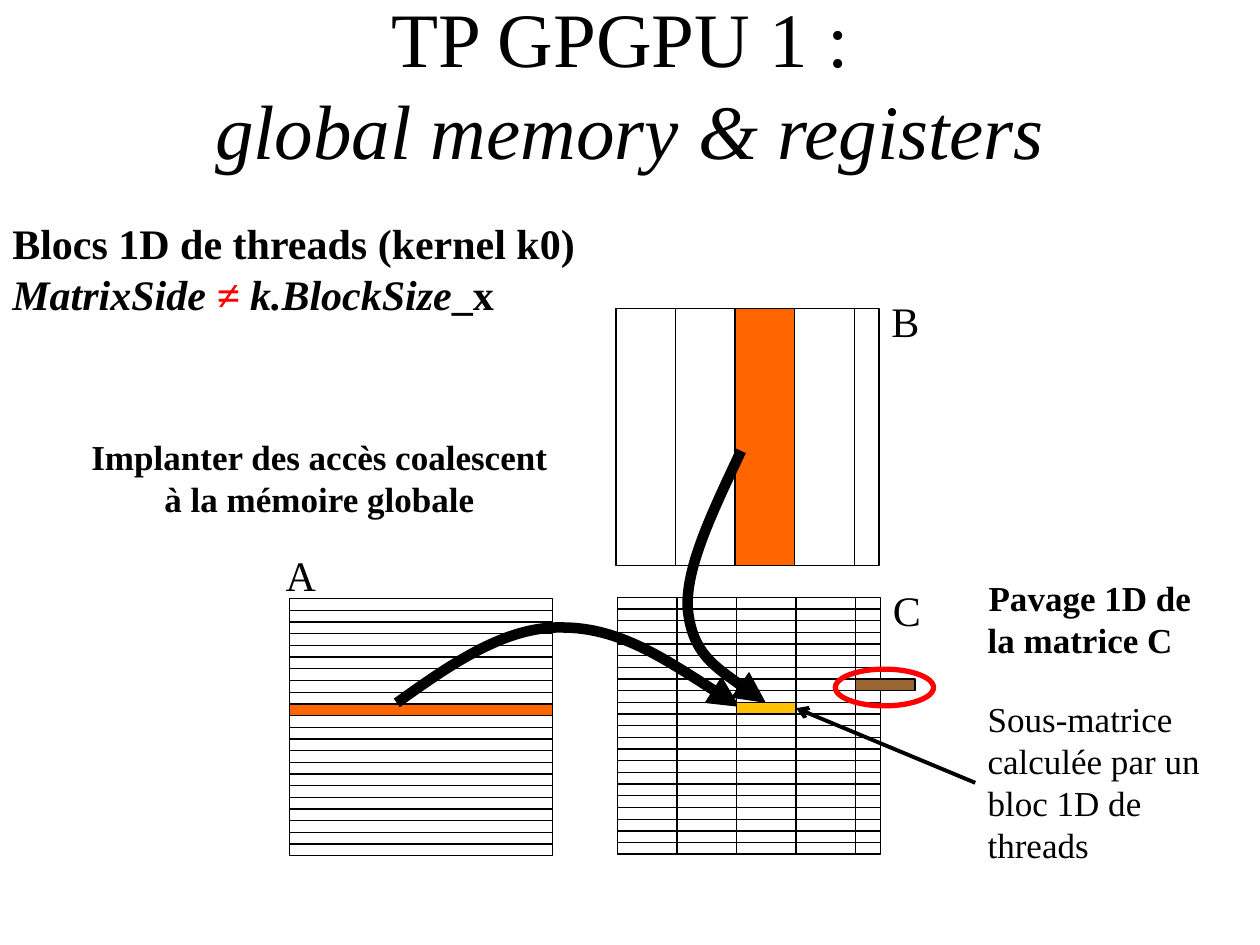
"""Build the matrix tiling slide: matrices A, B and C with their tiles."""
from lxml import etree
from pptx import Presentation
from pptx import util as u
from pptx.dml.color import RGBColor
from pptx.enum import shapes, text
from pptx.oxml import ns


def paint(shape, fill, line, width):
    """Set fill, outline and no shadow; fill is False for connectors."""
    if fill:
        shape.fill.solid()
        shape.fill.fore_color.rgb = RGBColor.from_string(fill)
    elif fill is None:
        shape.fill.background()
    shape.line.color.rgb = RGBColor.from_string(line)
    shape.line.width = u.Pt(width)
    etree.SubElement(shape._element.spPr, ns.qn("a:effectLst"))


def write(place, paragraphs, size, wrap=False, anchor=text.MSO_ANCHOR.TOP):
    """Add a text box from (alignment, spans) paragraphs."""
    box = page.shapes.add_textbox(*map(u.Cm, place))
    frame = box.text_frame
    frame.word_wrap, frame.vertical_anchor = wrap, anchor
    for index, (alignment, spans) in enumerate(paragraphs):
        para = frame.paragraphs[0] if index == 0 else frame.add_paragraph()
        para.alignment = alignment
        for words, formats in spans:
            if words == "\n":
                para.add_line_break()
                continue
            span = para.add_run()
            span.text = words
            span.font.color.rgb = RGBColor.from_string(formats.get("color", BLACK))
            values = {"name": "Times New Roman", "size": u.Pt(size),
                      "bold": formats.get("bold", False),
                      "italic": formats.get("italic", False)}
            for name, value in values.items():
                setattr(span.font, name, value)
    return box


BLACK, WHITE, RED, ORANGE = "000000", "FFFFFF", "FF0000", "FF6600"
LEFT, CENTER = text.PP_ALIGN.LEFT, text.PP_ALIGN.CENTER
BOLD = {"bold": True}
BOLD_ITALIC = {"bold": True, "italic": True}
RECTANGLE, OVAL = shapes.MSO_SHAPE.RECTANGLE, shapes.MSO_SHAPE.OVAL

deck = Presentation()
deck.slide_width, deck.slide_height = u.Cm(25.4), u.Cm(19.05)
page = deck.slides.add_slide(deck.slide_layouts[6])

side, rows, column = 5.3, 22, 1.2
height = 5.18
row = height / rows
row_steps = [step * row for step in range(1, rows)]
column_steps = [step * column for step in range(1, 5)]
c_left, c_top = 12.45, 12.04

# left, top, fill, row lines, column lines, highlighted band (x, y, width, height)
matrices = [
    (5.84, 12.07, None, row_steps, [], (0, 9 * row, side, row)),
    (12.42, 6.22, None, [], column_steps, (2 * column, 0, column, height)),
    (c_left, c_top, WHITE, row_steps, column_steps, None),
]
matrices = matrices
for left, top, fill, across, down, band in matrices:
    if band:
        x, y, band_width, band_height = band
        highlight = page.shapes.add_shape(
            RECTANGLE, u.Cm(left + x), u.Cm(top + y), u.Cm(band_width), u.Cm(band_height))
        paint(highlight, ORANGE, BLACK, 0.75)
    matrix = page.shapes.add_shape(RECTANGLE, *map(u.Cm, (left, top, side, height)))
    paint(matrix, fill, BLACK, 0.75)
    rules = [(left, top + y, left + side, top + y) for y in across]
    rules += [(left + x, top, left + x, top + height) for x in down]
    for ends in rules:
        rule = page.shapes.add_connector(shapes.MSO_CONNECTOR.STRAIGHT, *map(u.Cm, ends))
        paint(rule, False, BLACK, 0.75)

write((1.9, 0.08, 21.6, 3.18), [
    (CENTER, [("TP GPGPU 1 : ", {}), ("\n", {}),
              ("global memory & registers", {"italic": True})])],
    44, True, text.MSO_ANCHOR.MIDDLE)
write((0, 4.27, 11.96, 2.31), [
    (LEFT, [("Blocs 1D de threads (kernel k0)", BOLD)]),
    (LEFT, [("MatrixSide ", BOLD_ITALIC), ("≠ ", {**BOLD_ITALIC, "color": RED}),
            ("k.BlockSize", BOLD_ITALIC), ("_x", BOLD)])], 24)
for letter, x, y in (("B", 17.7, 5.84), ("A", 5.51, 10.95), ("C", 17.73, 11.66)):
    write((x, y, 1.1, 1.27), [(CENTER, [(letter, {})])], 24)
caption = write((19.66, 13.94, 5.18, 3.68), [
    (LEFT, [("Sous-matrice calculée par un bloc 1D de threads", {})])], 20, True)

curves = [
    [(15.44, 14.17), (14.71, 13.67), (13.97, 13.18), (13.87, 12.32),
     (13.79, 11.48), (14.38, 10.29), (14.94, 9.09)],
    [(14.91, 14.25), (13.69, 13.46), (12.47, 12.65), (11.33, 12.65),
     (10.19, 12.62), (9.09, 13.39), (8, 14.17)],
]
for start, *controls in curves:
    builder = page.shapes.build_freeform(*map(u.Cm, start))
    builder.add_line_segments([tuple(map(u.Cm, point)) for point in controls], close=False)
    curve = builder.convert_to_shape()
    outline = curve._element.spPr.find(".//" + ns.qn("a:path"))
    segments = outline.findall(ns.qn("a:lnTo"))
    for first in range(0, len(segments), 3):
        bezier = etree.SubElement(outline, ns.qn("a:cubicBezTo"))
        for segment in segments[first:first + 3]:
            bezier.append(segment[0])
            outline.remove(segment)
    paint(curve, None, BLACK, 6)
    etree.SubElement(curve.line._get_or_add_ln(), ns.qn("a:headEnd"), type="triangle")

tile = page.shapes.add_shape(
    RECTANGLE, u.Cm(c_left + 2 * column), u.Cm(c_top + 9 * row), u.Cm(column), u.Cm(row))
paint(tile, "FFC000", BLACK, 0.75)
pointer = page.shapes.add_connector(
    shapes.MSO_CONNECTOR.STRAIGHT, *map(u.Cm, (19.66, 15.8, 16.05, 14.3)))
pointer.begin_connect(caption, 1)
pointer.end_connect(tile, 3)
paint(pointer, False, BLACK, 2.25)
etree.SubElement(pointer.line._get_or_add_ln(), ns.qn("a:tailEnd"), type="arrow")

write((19.66, 11.49, 4.8, 1.96), [
    (CENTER, [("Pavage 1D de ", BOLD)]), (LEFT, [("la matrice C", BOLD)])], 20)
overflow = page.shapes.add_shape(
    RECTANGLE, u.Cm(c_left + 4 * column), u.Cm(c_top + 7 * row), u.Cm(column), u.Cm(row))
paint(overflow, "996633", BLACK, 0.75)
ring = page.shapes.add_shape(OVAL, *map(u.Cm, (16.84, 13.49, 1.98, 0.74)))
paint(ring, None, RED, 3)
write((1.45, 8.66, 9.98, 1.96), [
    (CENTER, [("Implanter des accès coalescent à la mémoire globale", BOLD)])], 20, True)

deck.save("out.pptx")
